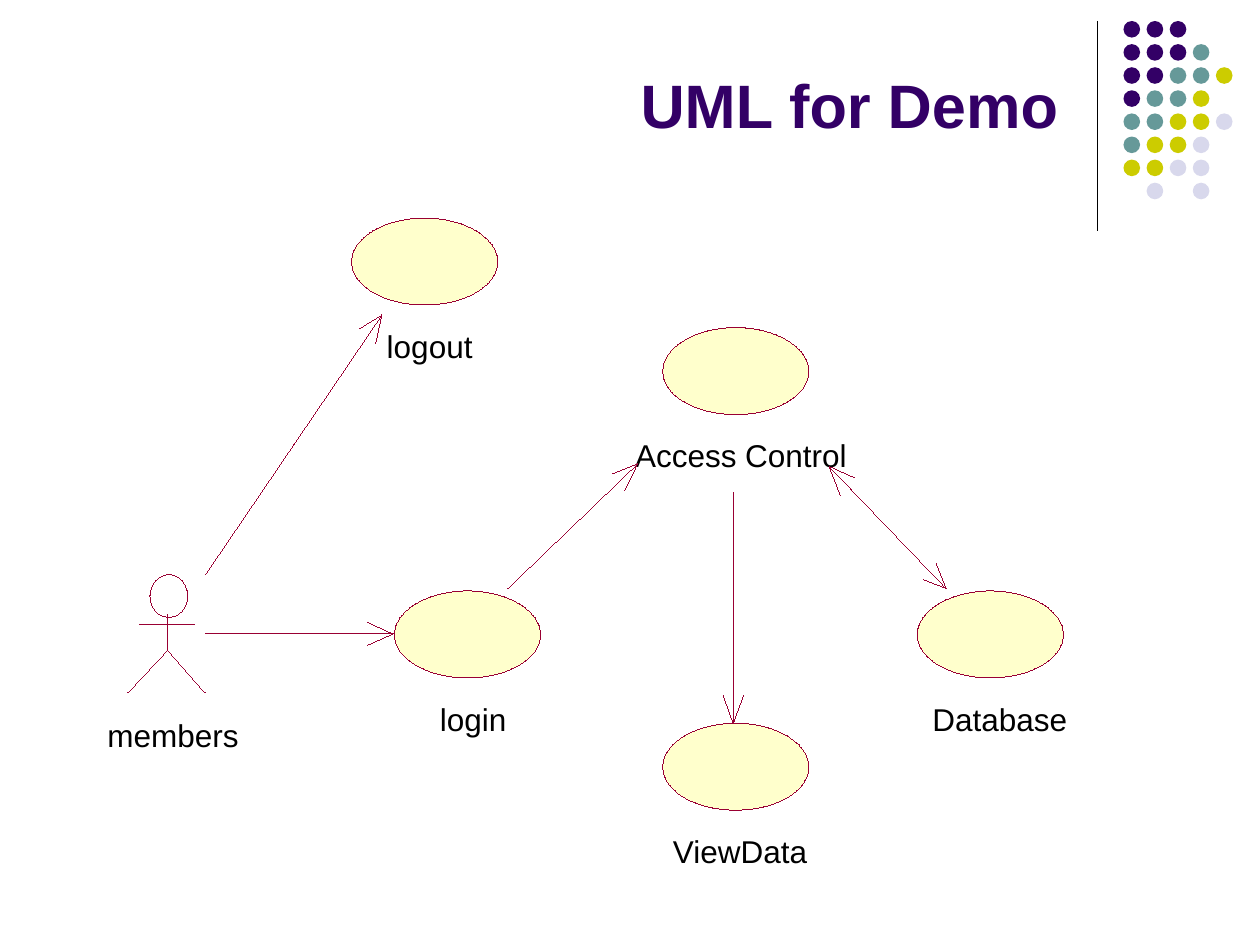
from typing import NamedTuple

from lxml.etree import SubElement
from pptx import Presentation
from pptx.dml.color import RGBColor
from pptx.enum.shapes import MSO_CONNECTOR, MSO_SHAPE
from pptx.enum.text import MSO_ANCHOR, MSO_AUTO_SIZE, PP_ALIGN
from pptx.oxml.ns import qn
from pptx.util import Pt

BLACK = RGBColor(0x00, 0x00, 0x00)
PURPLE = RGBColor(0x33, 0x00, 0x66)
TEAL = RGBColor(0x66, 0x99, 0x99)
LIME = RGBColor(0xCC, 0xCC, 0x00)
LILAC = RGBColor(0xD8, 0xD8, 0xEC)
CREAM = RGBColor(0xFF, 0xFF, 0xCC)
WINE = RGBColor(0x99, 0x00, 0x33)

FONT = "Arial"
HAIR = 0.01  # hairline width
Point = tuple[float, float]


class Case(NamedTuple):
    name: str
    left: float
    top: float
    text_left: float
    text_width: float


class Arrow(NamedTuple):
    tail: Point
    tip: Point
    barb: Point
    other: Point


CASE_WIDTH, CASE_HEIGHT, LABEL_DROP = 83.5, 49.7, 62.1
CASES = [
    Case("logout", 200.9, 124.6, 221, 51),
    Case("login", 225.4, 337.7, 251.3, 40),
    Case("ViewData", 378.7, 413.3, 384.5, 79),
    Case("Access Control", 378.7, 187.2, 362.9, 123),
    Case("Database", 524.2, 337.7, 532.8, 79),
]
ARROWS = [
    Arrow((117.4, 328.3), (218.2, 180), (214.6, 196.6), (205.2, 187.9)),
    Arrow((117.4, 362.2), (224.6, 362.2), (210.2, 368.6), (210.2, 355.7)),
    Arrow((290.2, 336.2), (364.3, 265), (357.1, 280.1), (349.9, 270.7)),
    Arrow((419, 281.5), (419, 413.3), (424.8, 397.4), (413.3, 397.4)),
    Arrow((473.8, 266.4), (540.7, 336.2), (535, 321.8), (527.8, 331.2)),
    Arrow((540.7, 336.2), (473.8, 266.4), (488.2, 272.9), (480.2, 283)),
]

# Dot pattern: one letter per colour, a space leaves a gap
DOTS = ["PPP", "PPPT", "PPTTY", "PTTY", "TTYYL", "TYYL", "YYLL", " L L"]
DOT_FILLS = {"P": PURPLE, "T": TEAL, "Y": LIME, "L": LILAC}
DOT_LEFT, DOT_TOP, DOT_STEP, DOT_SIZE = 642, 12, 13.2, 9.5


def add_oval(slide, left: float, top: float, width: float, height: float,
             fill: RGBColor | None, line: RGBColor | None) -> None:
    oval = slide.shapes.add_shape(
        MSO_SHAPE.OVAL, Pt(left), Pt(top), Pt(width), Pt(height))
    oval.shadow.inherit = False
    if fill is None:
        oval.fill.background()
    else:
        oval.fill.solid()
        oval.fill.fore_color.rgb = fill
    if line is None:
        oval.line.fill.background()
    else:
        oval.line.color.rgb = line
        oval.line.width = Pt(HAIR)


def add_line(slide, start: Point, end: Point,
             color: RGBColor = WINE, width: float = HAIR) -> None:
    line = slide.shapes.add_connector(
        MSO_CONNECTOR.STRAIGHT, *map(Pt, start + end))
    line.line.color.rgb = color
    line.line.width = Pt(width)
    SubElement(line._element.spPr, qn("a:effectLst"))


def add_path(slide, first: Point, *rest: Point) -> None:
    pen = slide.shapes.build_freeform(*map(Pt, first))
    pen.add_line_segments([(Pt(x), Pt(y)) for x, y in rest], close=False)
    path = pen.convert_to_shape()
    path.shadow.inherit = False
    path.fill.background()
    path.line.color.rgb = WINE
    path.line.width = Pt(HAIR)


def add_label(slide, text: str, left: float, top: float, width: float) -> None:
    frame = slide.shapes.add_textbox(
        Pt(left), Pt(top), Pt(width), Pt(21.6)).text_frame
    frame.margin_left = frame.margin_right = Pt(0)
    frame.margin_top = frame.margin_bottom = Pt(0)
    frame.word_wrap = False
    frame.auto_size = MSO_AUTO_SIZE.SHAPE_TO_FIT_TEXT
    label = frame.paragraphs[0]
    label.text = text
    label.font.name = FONT
    label.font.size = Pt(18)
    label.font.color.rgb = BLACK


def add_case(slide, case: Case) -> None:
    add_oval(slide, case.left, case.top, CASE_WIDTH, CASE_HEIGHT, CREAM, WINE)
    add_label(slide, case.name, case.text_left,
              case.top + LABEL_DROP, case.text_width)


def add_arrow(slide, arrow: Arrow) -> None:
    (x1, y1), (x2, y2) = arrow.tail, arrow.tip
    middle = ((x1 + x2) / 2, (y1 + y2) / 2)
    add_path(slide, middle, arrow.tip, arrow.barb)
    add_line(slide, arrow.tip, arrow.other)
    add_line(slide, middle, arrow.tail)


def add_actor(slide) -> None:
    add_oval(slide, 85.7, 328.3, 21.6, 24.5, None, WINE)
    add_line(slide, (95.8, 351.4), (95.8, 371.5))
    add_line(slide, (79.6, 356.8), (111.2, 356.8))
    add_path(slide, (72.9, 396), (95.8, 371.5), (117.2, 396))
    add_label(slide, "members", 61.4, 409, 77)


def set_title(slide, text: str) -> None:
    title = slide.shapes.title
    title.left, title.top = Pt(18), Pt(23.8)
    title.width, title.height = Pt(594), Pt(102.2)
    frame = title.text_frame
    frame.auto_size = MSO_AUTO_SIZE.NONE
    frame.vertical_anchor = MSO_ANCHOR.BOTTOM
    frame.margin_bottom = Pt(45.4)  # lifts the title by one line
    head = frame.paragraphs[0]
    head.text = text
    head.alignment = PP_ALIGN.RIGHT
    head.font.name = FONT
    head.font.size = Pt(35)
    head.font.bold = True
    head.font.color.rgb = PURPLE


def main() -> None:
    deck = Presentation()
    deck.slide_width, deck.slide_height = Pt(720), Pt(540)
    slide = deck.slides.add_slide(deck.slide_layouts[5])

    # Corner decoration
    add_line(slide, (627, 12), (627, 132), BLACK, 0.75)
    for row, marks in enumerate(DOTS):
        for col, mark in enumerate(marks):
            if mark in DOT_FILLS:
                add_oval(slide, DOT_LEFT + col * DOT_STEP,
                         DOT_TOP + row * DOT_STEP,
                         DOT_SIZE, DOT_SIZE, DOT_FILLS[mark], None)

    set_title(slide, "UML for Demo")

    # Use case diagram
    add_actor(slide)
    for case in CASES:
        add_case(slide, case)
    for arrow in ARROWS:
        add_arrow(slide, arrow)

    deck.save("out.pptx")


if __name__ == "__main__":
    main()
